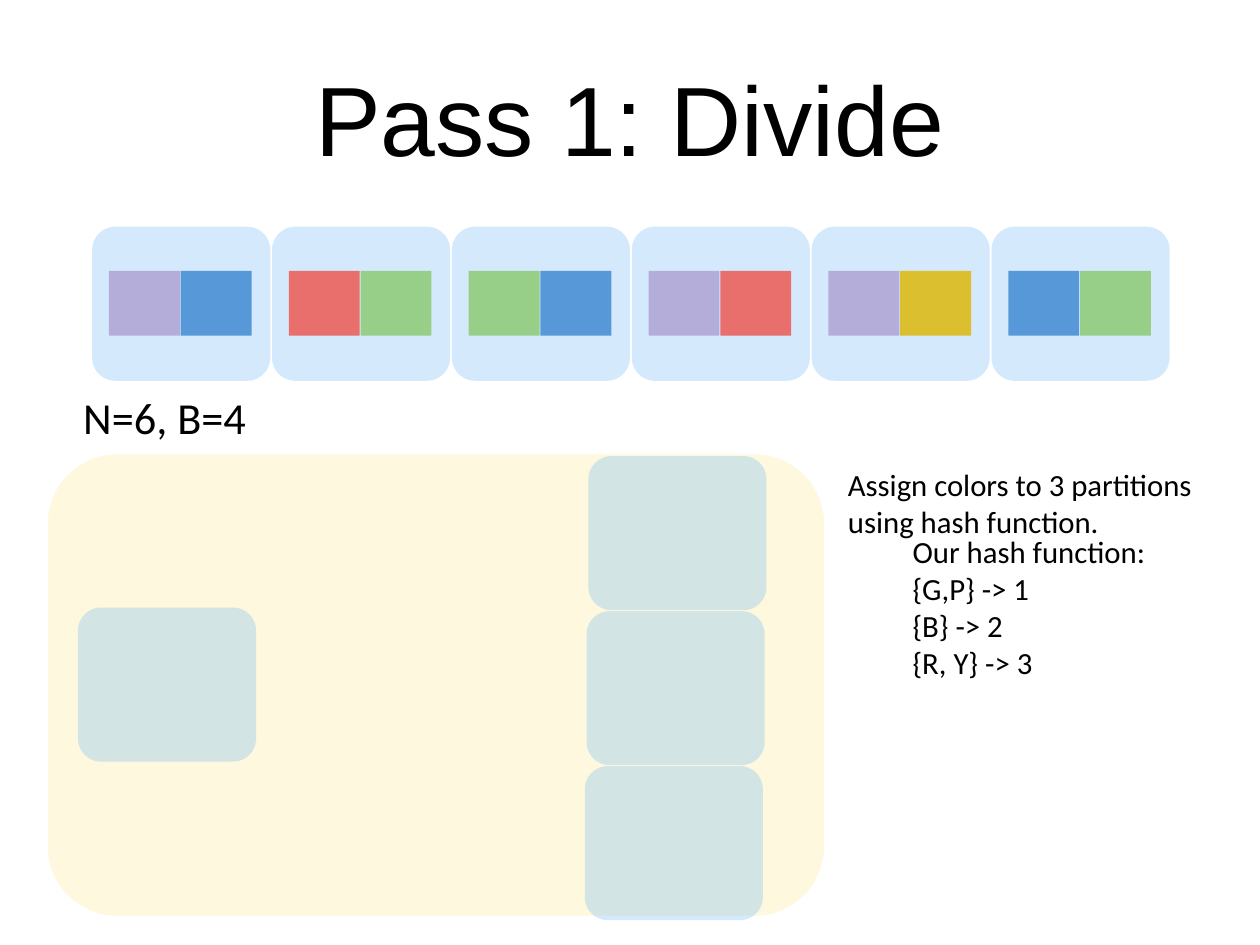
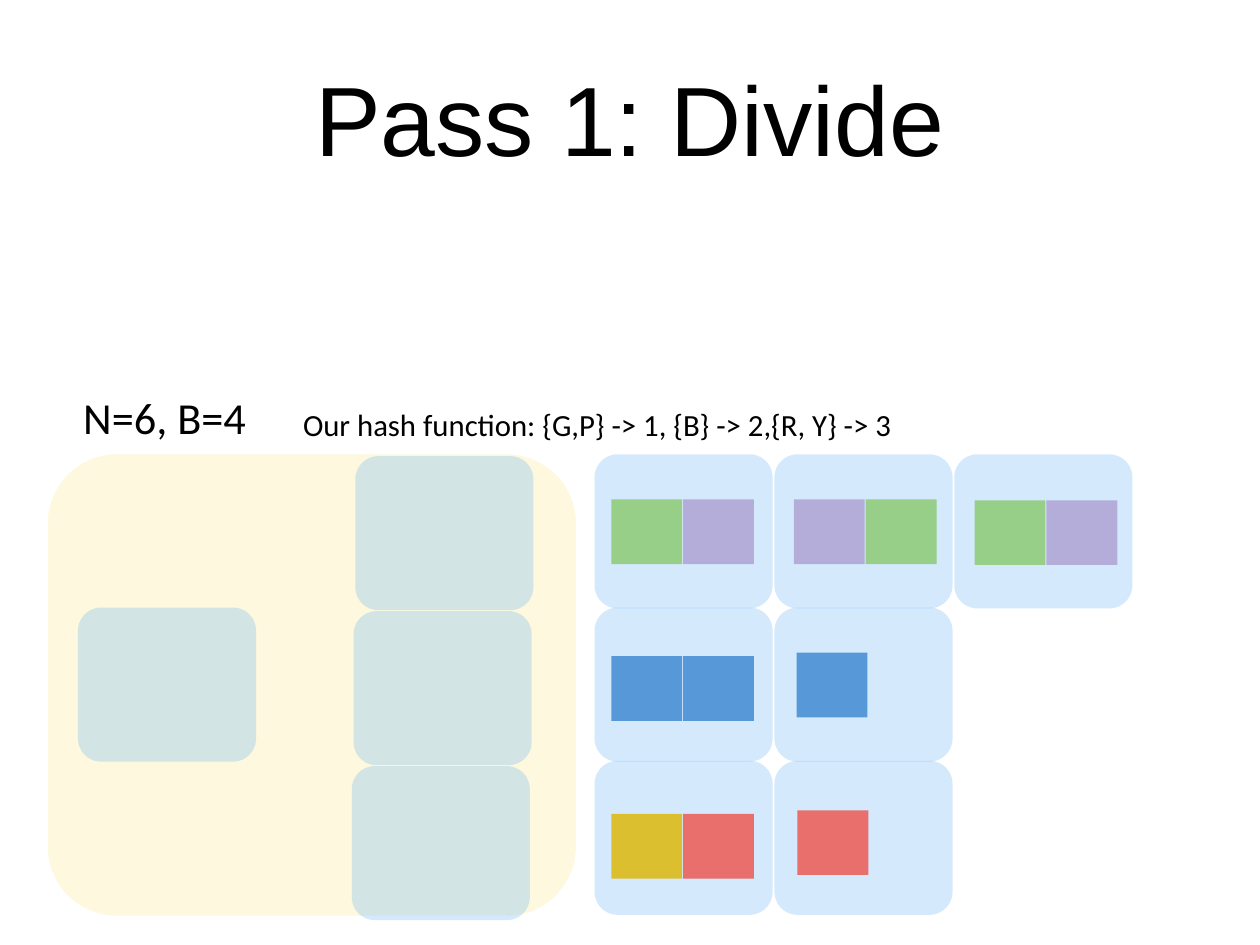
from pptx import Presentation
from pptx.dml.color import RGBColor
from pptx.enum.shapes import MSO_SHAPE as Shape
from pptx.enum.text import MSO_ANCHOR as Anchor, PP_ALIGN as Align
from pptx.oxml.ns import qn
from pptx.util import Inches, Pt
from lxml import etree

# Fills: colour and opacity in percent
BUFFER = ("F5D328", 15)
BLOCK = ("51A7F9", 24)
TILES = {
    "P": ("773F9B", 35),
    "B": ("0365C0", 60),
    "R": ("EC5D57", 87),
    "G": ("70BF41", 61),
    "Y": ("DCBD23", 94),
}

# Sizes in inches
BLOCK_W, BLOCK_H = 2.01, 1.74
BLOCK_STEP_X, BLOCK_STEP_Y = 2.03, 1.73
TILE_W, TILE_H, TILE_STEP = 0.8, 0.73, 0.81
BUFFER_TOP = 5.13


def add_panel(page, kind, left, top, width, height, fill):
    """Add a borderless, see-through shape."""
    colour, opacity = fill
    panel = page.shapes.add_shape(
        kind, Inches(left), Inches(top), Inches(width), Inches(height))
    panel.shadow.inherit = False
    panel.line.fill.background()
    panel.fill.solid()
    panel.fill.fore_color.rgb = RGBColor.from_string(colour)
    if kind == Shape.ROUNDED_RECTANGLE:
        panel.adjustments[0] = 0.15
    colour_node = panel.fill._xPr.find(qn("a:solidFill"))[0]
    etree.SubElement(colour_node, qn("a:alpha")).set("val", str(opacity * 1000))


def add_text(page, left, top, width, height, text, size,
             font="Calibri", align=Align.LEFT, wrap=False):
    box = page.shapes.add_textbox(
        Inches(left), Inches(top), Inches(width), Inches(height))
    frame = box.text_frame
    frame.word_wrap = wrap
    frame.vertical_anchor = Anchor.MIDDLE
    frame.margin_left = frame.margin_right = Inches(0.06)
    frame.margin_top = frame.margin_bottom = Inches(0.06)
    frame.text = text
    for para in frame.paragraphs:
        para.alignment = align
        for span in para.runs:
            span.font.name = font
            span.font.size = Pt(size)
            span.font.color.rgb = RGBColor.from_string("000000")


deck = Presentation()
deck.slide_width, deck.slide_height = Inches(14.22), Inches(10.67)

# Per slide: buffer width, left of the output buffers, and the disk blocks
# as (column, row, tiles, tile offset x, tile offset y) from a grid origin
strip = ["PB", "RG", "GB", "PR", "PY", "BG"]
slides = [
    (8.76, 6.64, (1.04, 2.56),
     [(column, 0, tiles, 0.19, 0.5) for column, tiles in enumerate(strip)]),
    (5.96, 4.01, (6.71, BUFFER_TOP), [
        (0, 0, "GP", 0.19, 0.51), (1, 0, "PG", 0.22, 0.51), (2, 0, "GP", 0.23, 0.52),
        (0, 1, "BB", 0.19, 0.55), (1, 1, "B", 0.25, 0.51),
        (0, 2, "YR", 0.19, 0.6), (1, 2, "R", 0.26, 0.56),
    ]),
]

for buffer_width, output_left, (grid_left, grid_top), blocks in slides:
    page = deck.slides.add_slide(deck.slide_layouts[6])

    # Title and parameters
    add_text(page, 0.71, 0.43, 12.8, 1.78, "Pass 1: Divide", 80,
             font="Arial", align=Align.CENTER, wrap=True)
    add_text(page, 0.88, 4.35, 1.97, 0.72, "N=6, B=4", 36)

    # Memory: one input buffer and three output buffers
    add_panel(page, Shape.ROUNDED_RECTANGLE,
              0.54, BUFFER_TOP, buffer_width, 5.21, BUFFER)
    memory = [(0.88, 6.86)]
    memory += [(output_left - 0.02 * i, 5.15 + 1.75 * i) for i in range(3)]
    for left, top in memory:
        add_panel(page, Shape.ROUNDED_RECTANGLE, left, top, BLOCK_W, BLOCK_H, BLOCK)

    # Disk blocks with their coloured tiles
    for column, row, tiles, offset_x, offset_y in blocks:
        left = grid_left + column * BLOCK_STEP_X
        top = grid_top + row * BLOCK_STEP_Y
        add_panel(page, Shape.ROUNDED_RECTANGLE, left, top, BLOCK_W, BLOCK_H, BLOCK)
        for i, tile in enumerate(tiles):
            add_panel(page, Shape.RECTANGLE, left + offset_x + i * TILE_STEP,
                      top + offset_y, TILE_W, TILE_H, TILES[tile])

# Hash function notes
first, second = deck.slides
add_text(first, 9.51, 5.19, 4.05, 0.97,
         "Assign colors to 3 partitions\nusing hash function.", 25)
add_text(first, 10.24, 5.94, 2.76, 1.82,
         "Our hash function:\n{G,P} -> 1\n{B} -> 2\n{R, Y} -> 3", 25)
add_text(second, 3.36, 4.51, 8.51, 0.55,
         "Our hash function: {G,P} -> 1, {B} -> 2,{R, Y} -> 3", 25, wrap=True)

deck.save("out.pptx")
